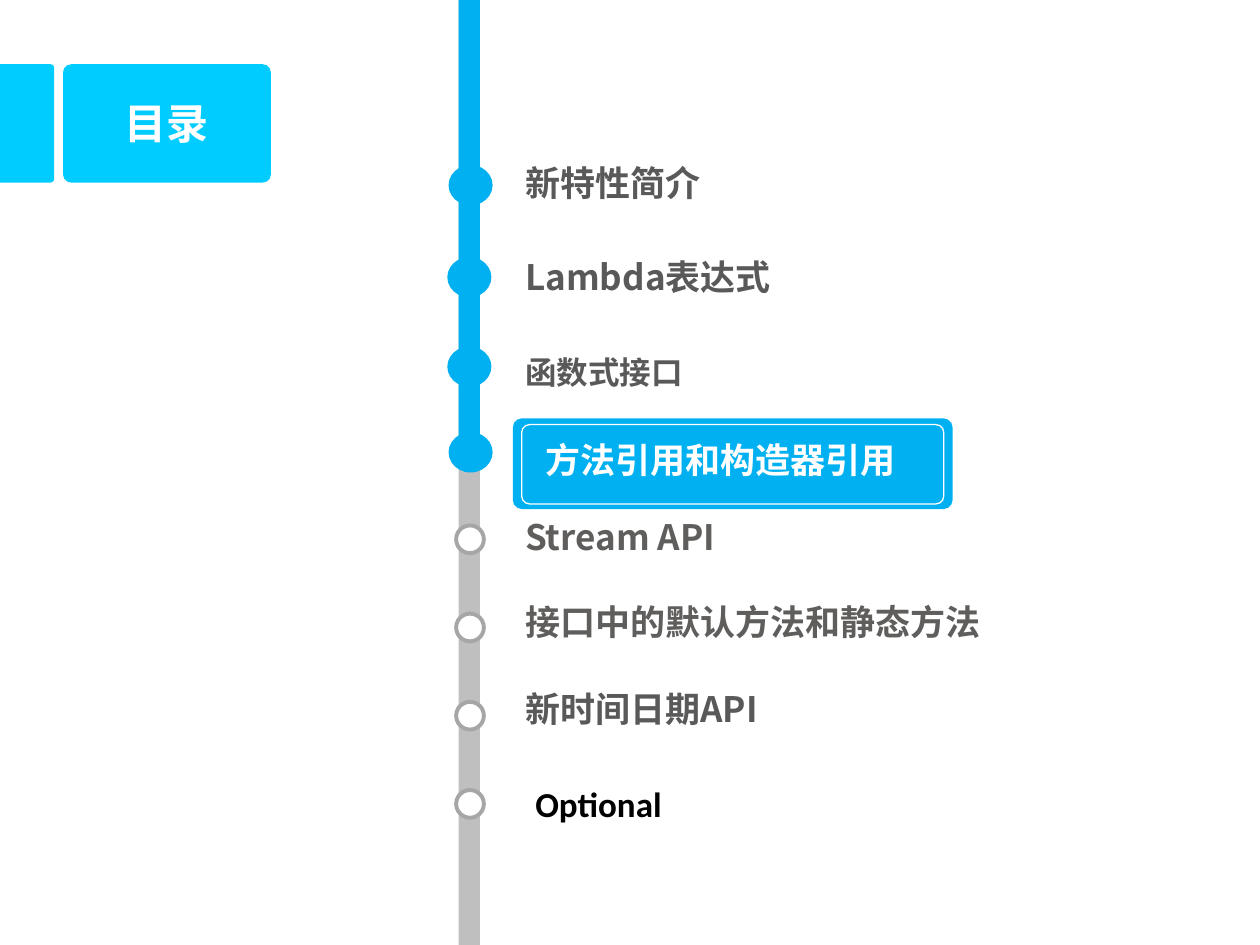
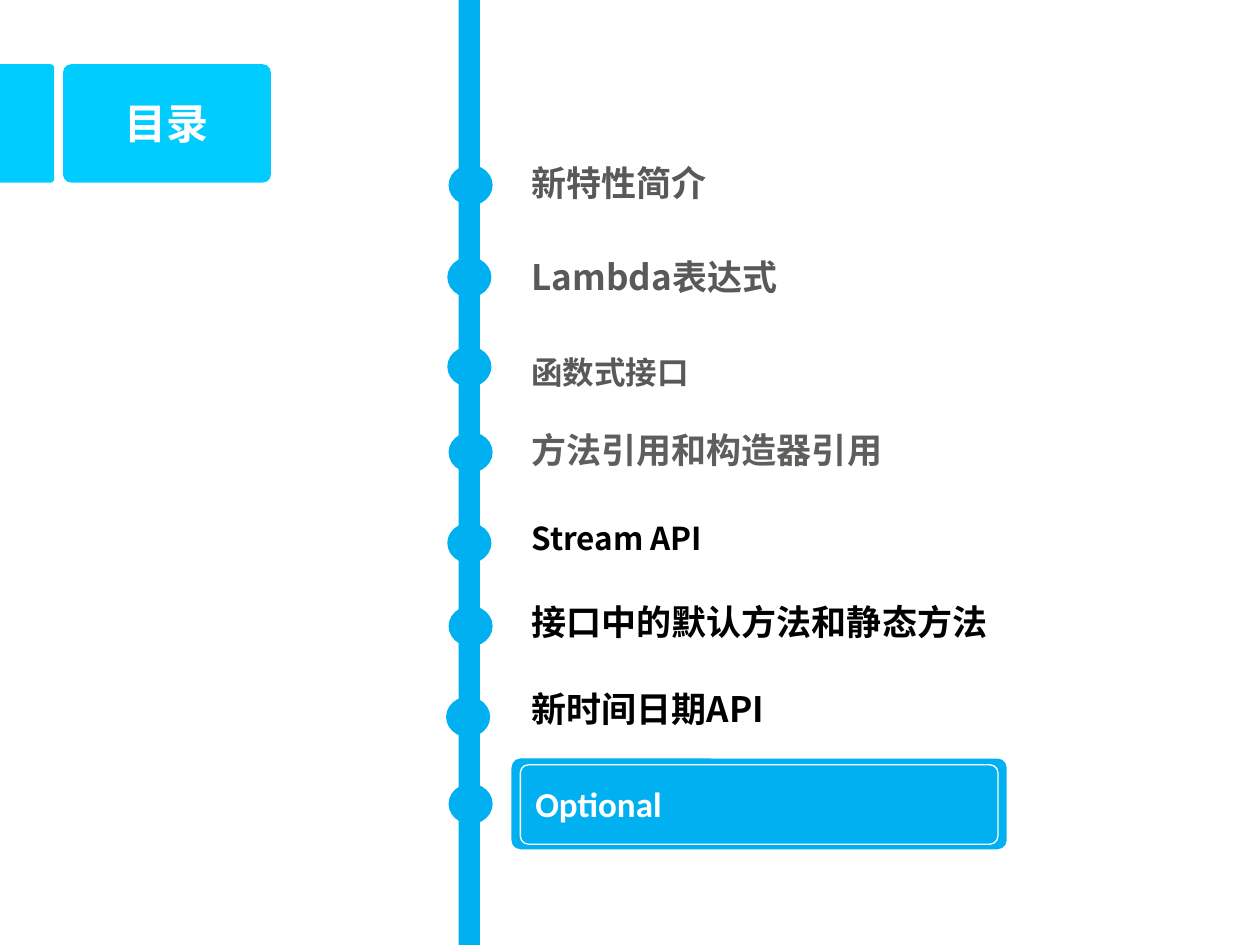
from dataclasses import dataclass, replace

from lxml.etree import SubElement
from pptx import Presentation
from pptx.dml.color import RGBColor
from pptx.enum.shapes import MSO_SHAPE
from pptx.enum.text import MSO_ANCHOR, MSO_AUTO_SIZE, PP_ALIGN
from pptx.oxml.ns import qn
from pptx.util import Inches, Pt

TAB, DONE, TODO, RING = "00CCFF", "00B0F0", "BFBFBF", "A6A6A6"
WHITE, BLACK, GREY, WARM_GREY = "FFFFFF", "000000", "595959", "5F5E5C"
LATIN, CJK_JP, CJK_SC = "Calibri", "Noto Sans CJK JP", "Noto Sans CJK SC"
SLIDE_W, SLIDE_H = 10, 7.5
RAIL_LEFT, RAIL_W = 3.64, 0.17
RING_LEFT, RING_TOP, RING_SIZE, RING_STEP = 3.62, 1.37, 0.22, 0.7
DOT_W, DOT_H = 0.35, 0.32


@dataclass
class Topic:
    text: str
    top: float
    width: float
    dot: tuple  # left and top of the filled dot
    font: str = CJK_JP
    color: str = GREY
    size: int = 20
    wrap: bool = True
    left: float = 0  # 0 takes the left edge of the list


TOPICS = [
    Topic("新特性简介", 1.23, 3.1, (3.56, 1.31)),
    Topic("Lambda表达式", 1.98, 3.1, (3.55, 2.04)),
    Topic("函数式接口", 2.75, 1.46, (3.55, 2.75), size=18, wrap=False),
    Topic("方法引用和构造器引用", 3.35, 3.25, (3.56, 3.43), CJK_SC, WARM_GREY),
    Topic("Stream API", 4.04, 2.6, (3.55, 4.15), CJK_SC, WARM_GREY),
    Topic("接口中的默认方法和静态方法", 4.72, 4.1, (3.56, 4.81), CJK_SC, WARM_GREY),
    Topic("新时间日期API", 5.41, 3.1, (3.54, 5.53)),
    Topic("Optional", 6.16, 2.6, (3.56, 6.22), LATIN, BLACK, left=4.15),
]


def rgb(color):
    return RGBColor.from_string(color)


def add_shape(shapes, kind, box, fill=None, line=None, line_width=1.0, adj=None):
    sp = shapes.add_shape(kind, *[Inches(v) for v in box])
    sp.shadow.inherit = False
    if adj is not None:
        sp.adjustments[0] = adj
    if fill:
        sp.fill.solid()
        sp.fill.fore_color.rgb = rgb(fill)
    else:
        sp.fill.background()
    if line:
        sp.line.color.rgb = rgb(line)
        sp.line.width = Pt(line_width)
    else:
        sp.line.fill.background()
    return sp


def set_text(sp, text, size, font, color, align=PP_ALIGN.LEFT, wrap=True):
    tf = sp.text_frame
    tf.text = text
    tf.word_wrap = wrap
    tf.auto_size = MSO_AUTO_SIZE.SHAPE_TO_FIT_TEXT
    tf.vertical_anchor = MSO_ANCHOR.TOP
    p = tf.paragraphs[0]
    p.alignment = align
    r = p.runs[0]
    r.font.size, r.font.bold, r.font.name = Pt(size), True, font
    r.font.color.rgb = rgb(color)
    # East Asian glyphs need their own typeface
    ea = SubElement(r.font._element, qn("a:ea"))
    ea.set("typeface", CJK_SC if font == LATIN else font)


def add_title(slide, text, box):
    """Title on a rounded tab, with a stub running off the left edge."""
    left, top, width, height = box
    stub_w = 0.43
    stub = add_shape(slide.shapes, MSO_SHAPE.ROUND_2_SAME_RECTANGLE,
                     ((stub_w - height) / 2, top + (height - stub_w) / 2,
                      height, stub_w), TAB, adj=0.07)
    stub.rotation = 90
    tab = add_shape(slide.shapes, MSO_SHAPE.ROUNDED_RECTANGLE, box, TAB, adj=0.07)
    title = slide.shapes.title
    title.left, title.top = Inches(left), Inches(top + 0.21)
    title.width, title.height = Inches(width), Inches(0.5)
    set_text(title, text, 24, LATIN, WHITE, PP_ALIGN.CENTER)
    tab.element.addnext(title.element)  # bring the title above its tab


def add_rail(slide, topics, current, done_bottom):
    """Vertical progress rail: dots up to the current topic, rings after it."""
    if done_bottom < SLIDE_H:
        add_shape(slide.shapes, MSO_SHAPE.RECTANGLE,
                  (RAIL_LEFT, 0, RAIL_W, SLIDE_H), TODO)
    add_shape(slide.shapes, MSO_SHAPE.RECTANGLE,
              (RAIL_LEFT, 0, RAIL_W, done_bottom), DONE)
    for i, topic in enumerate(topics):
        if i <= current:
            add_shape(slide.shapes, MSO_SHAPE.OVAL, (*topic.dot, DOT_W, DOT_H), DONE)
        else:
            add_shape(slide.shapes, MSO_SHAPE.OVAL,
                      (RING_LEFT, RING_TOP + i * RING_STEP, RING_SIZE, RING_SIZE),
                      WHITE, RING, 2.25)


def add_panel(slide, box):
    """Highlight behind the current topic: filled panel with an inner outline."""
    left, top, width, height = box
    shapes = slide.shapes.add_group_shape().shapes
    add_shape(shapes, MSO_SHAPE.ROUNDED_RECTANGLE, box, DONE, adj=0.1)
    add_shape(shapes, MSO_SHAPE.ROUNDED_RECTANGLE,
              (left + 0.07, top + 0.05, width - 0.14, height - 0.09),
              line=WHITE, line_width=0.75, adj=0.1)


def add_topics(slide, topics, left):
    for t in topics:
        box = (t.left or left, t.top, t.width, 0.44 if t.size == 20 else 0.4)
        sp = slide.shapes.add_textbox(*[Inches(v) for v in box])
        set_text(sp, t.text, t.size, t.font, t.color, wrap=t.wrap)


def add_agenda(prs, changes, current, list_left, done_bottom, panel):
    """Agenda slide; changes maps a topic index to what differs here."""
    slide = prs.slides.add_slide(prs.slide_layouts[5])
    topics = [replace(t, **changes.get(i, {})) for i, t in enumerate(TOPICS)]
    add_title(slide, "目录", (0.5, 0.51, 1.65, 0.94))
    add_rail(slide, topics, current, done_bottom)
    add_panel(slide, panel)
    add_topics(slide, topics, list_left)


def main():
    prs = Presentation()
    prs.slide_width, prs.slide_height = Inches(SLIDE_W), Inches(SLIDE_H)

    # Method references are current
    add_agenda(prs, {3: dict(left=4.23, top=3.43, color=WHITE)},
               current=3, list_left=4.07, done_bottom=3.57,
               panel=(4.07, 3.32, 3.49, 0.72))

    # Optional is current
    add_agenda(prs, {4: dict(top=4.07, size=18, color=BLACK, wrap=False, width=1.61),
                     5: dict(color=BLACK),
                     6: dict(color=BLACK),
                     7: dict(color=WHITE)},
               current=7, list_left=4.12, done_bottom=SLIDE_H,
               panel=(4.06, 6.02, 3.93, 0.72))

    prs.save("out.pptx")


if __name__ == "__main__":
    main()
